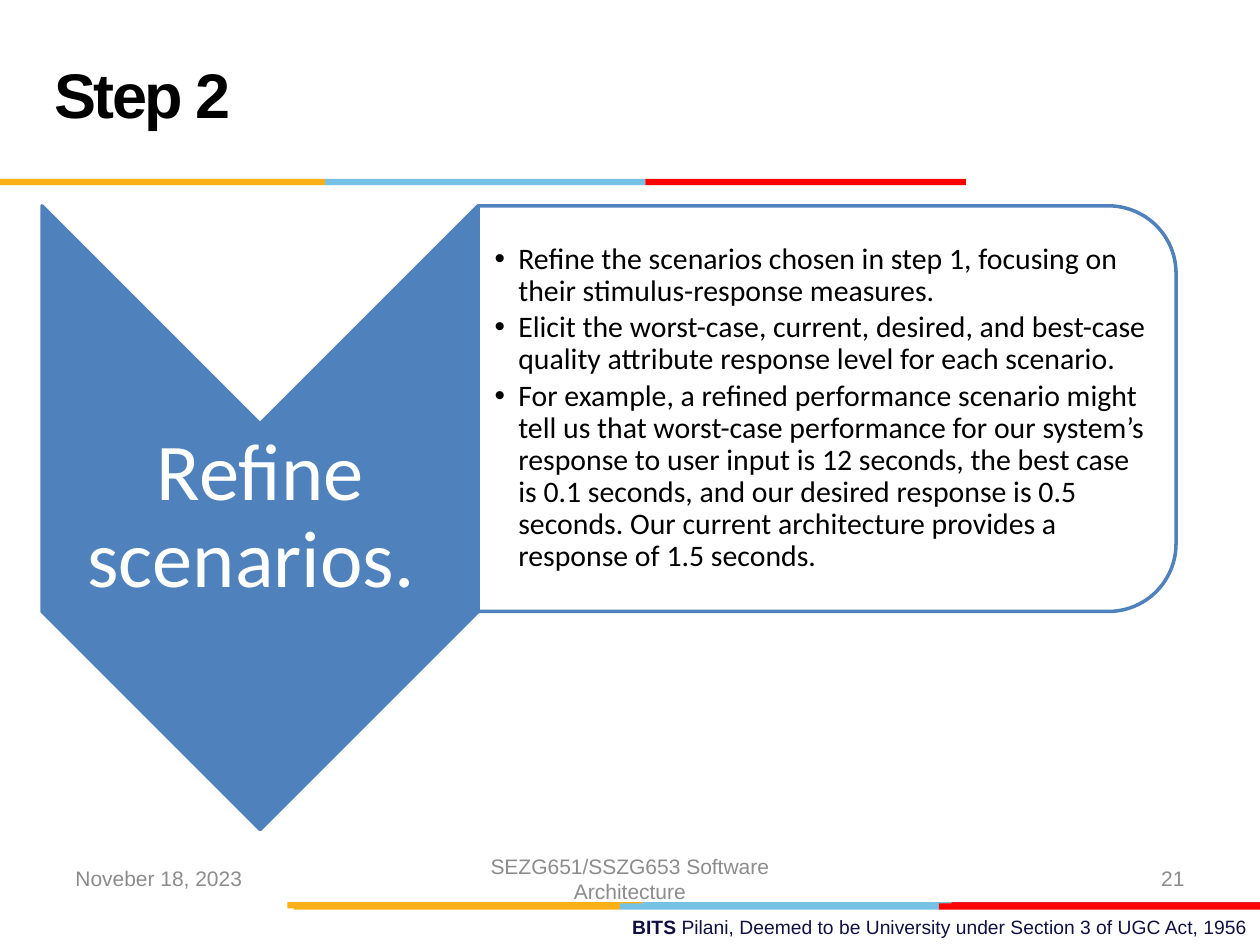
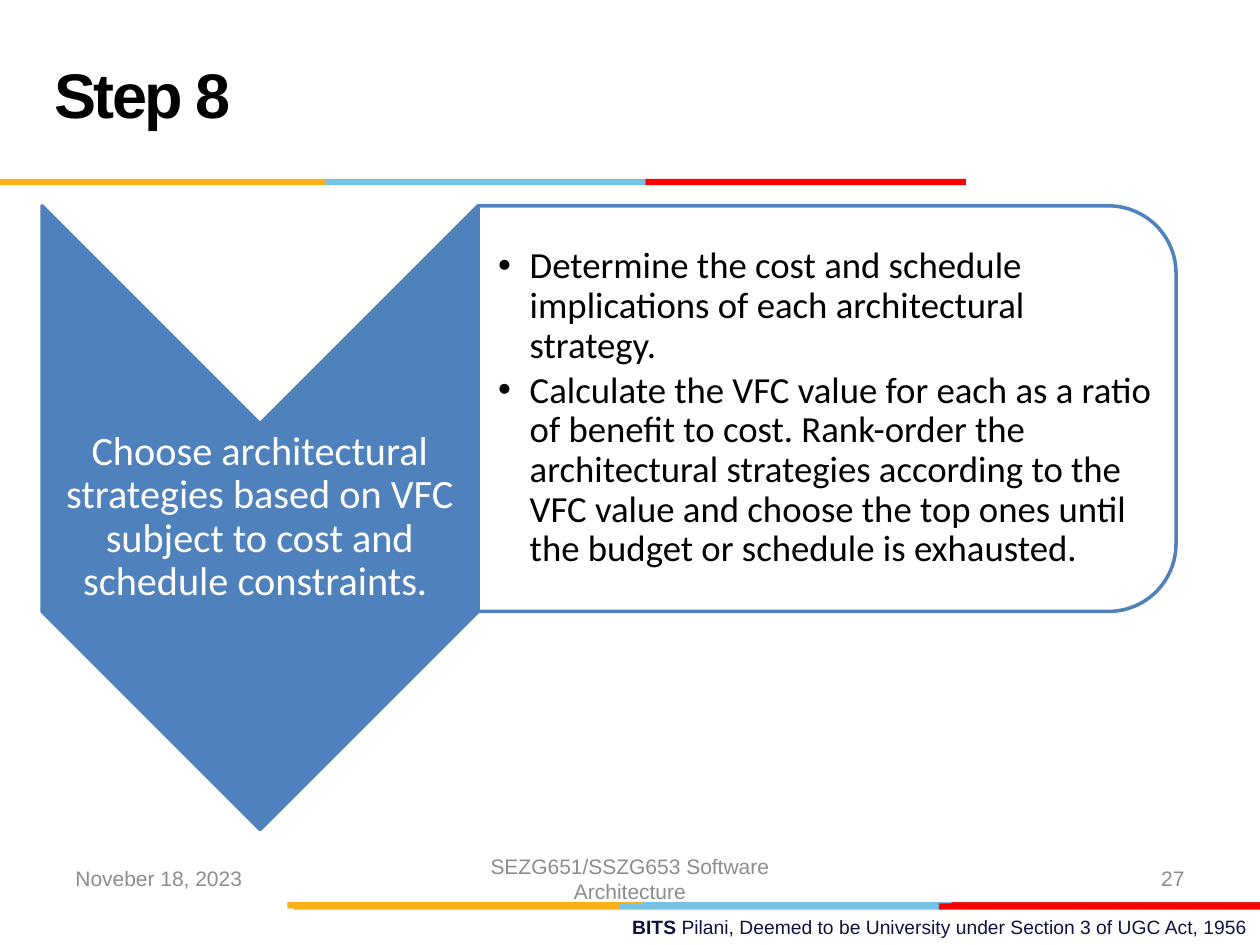
import pptx
import pptx.util
import pptx.dml.color
import pptx.enum.shapes
import pptx.enum.text
import pptx.oxml
import pptx.oxml.ns

Pt = pptx.util.Pt
RGBColor = pptx.dml.color.RGBColor
SHAPE = pptx.enum.shapes.MSO_SHAPE
ALIGN = pptx.enum.text.PP_ALIGN
MIDDLE = pptx.enum.text.MSO_ANCHOR.MIDDLE

STEPS = [
    {"title": "Step 2", "page": "21",
     "label": "Refine scenarios. ", "label_size": 46, "label_pad": 2.2,
     "size": 17, "hang": 13.5, "pad": 9.5,
     "points": [
         "Refine the scenarios chosen in step 1, focusing on their "
         "stimulus-response measures.",
         "Elicit the worst-case, current, desired, and best-case quality "
         "attribute response level for each scenario.",
         "For example, a refined performance scenario might tell us that "
         "worst-case performance for our system’s response to user input is "
         "12 seconds, the best case is 0.1 seconds, and our desired response "
         "is 0.5 seconds. Our current architecture provides a response of "
         "1.5 seconds."]},
    {"title": "Step 8", "page": "27",
     "label": "Choose architectural strategies based on VFC subject to cost "
              "and schedule constraints. ", "label_size": 23, "label_pad": 1.2,
     "size": 21, "hang": 18, "pad": 11.5,
     "points": [
         "Determine the cost and schedule implications of each architectural "
         "strategy.",
         "Calculate the VFC value for each as a ratio of benefit to cost. "
         "Rank-order the architectural strategies according to the VFC value "
         "and choose the top ones until the budget or schedule is "
         "exhausted."]},
]
DATE = "Noveber 18, 2023"
COURSE = "SEZG651/SSZG653 Software Architecture"
SCHOOL = [("BITS ", True),
          ("Pilani, Deemed to be University under Section 3 of UGC Act, 1956",
           False)]

GOLD = RGBColor(0xFC, 0xB0, 0x17)
SKY = RGBColor(0x76, 0xC2, 0xE5)
CRIMSON = RGBColor(0xE3, 0x1C, 0x24)
RED = RGBColor(0xFF, 0, 0)
BLUE = RGBColor(0x4F, 0x81, 0xBD)
NAVY = RGBColor(0x10, 0x11, 0x41)
GRAY = RGBColor(0x8C, 0x8C, 0x8C)
BLACK = RGBColor(0, 0, 0)
WHITE = RGBColor(0xFF, 0xFF, 0xFF)

# Each band: top, the four stops across, the three colours
BANDS = [(515.5, (164.2, 367.2, 543.6, 720), (GOLD, SKY, CRIMSON)),
         (516.2, (167.8, 354.3, 536.5, 720), (GOLD, SKY, RED)),
         (102.2, (0, 185.8, 368.8, 552), (GOLD, SKY, RED))]
BAND_H = 3.6

ARROW = (24, 117.6, 249.2, 356.4)
FRAME = (ARROW[0] + ARROW[2], ARROW[1], 398.8, 231.8)
NOTCH = ARROW[2] / 2
LABEL = (ARROW[0], ARROW[1] + NOTCH, ARROW[2], FRAME[3] - NOTCH)
LIST = (FRAME[0], 128.9, 387.4, 209)
TITLE = (24, 12, 498, 90)
FOOT_Y, FOOT_H = 487.5, 28.75


def style(font, color, **values):
    for name, value in values.items():
        setattr(font, name, value)
    font.color.rgb = color


def place(shape, box):
    for name, value in zip(("left", "top", "width", "height"), box):
        setattr(shape, name, Pt(value))


def set_frame(frame, **values):
    values = {"word_wrap": True, "vertical_anchor": MIDDLE,
              "auto_size": pptx.enum.text.MSO_AUTO_SIZE.NONE, **values}
    for name, value in values.items():
        setattr(frame, name, value)


def margins(left, rest):
    return {"margin_left": Pt(left), "margin_top": Pt(rest),
            "margin_right": Pt(rest), "margin_bottom": Pt(rest)}


def add_text(slide, box, runs, align, color, size, face="Arial", **frame):
    """Add a one-paragraph text box from (text, bold) pairs."""
    shape = slide.shapes.add_textbox(*map(Pt, box))
    set_frame(shape.text_frame, **frame)
    para = shape.text_frame.paragraphs[0]
    para.alignment = align
    for text, bold in runs:
        run = para.add_run()
        run.text = text
        style(run.font, color, name=face, size=Pt(size), bold=bold)
    return para


def add_part(slide, kind, box, fill):
    part = slide.shapes.add_shape(kind, *map(Pt, box))
    part.shadow.inherit = False
    part.fill.solid()
    part.fill.fore_color.rgb = fill
    part.line.fill.background()
    return part


def add_turned(slide, kind, box, fill):
    """Add an outlined shape turned by 90 degrees that shows in box."""
    left, top, wide, high = box
    shift = (wide - high) / 2
    part = add_part(slide, kind, (left + shift, top - shift, high, wide), fill)
    part.rotation = 90
    part.line.color.rgb = BLUE
    part.line.width = Pt(2)
    return part


def add_bands(slide):
    for top, stops, colors in BANDS:
        for left, right, color in zip(stops, stops[1:], colors):
            add_part(slide, SHAPE.RECTANGLE,
                     (left, top, right - left, BAND_H), color)


def add_footers(slide, page):
    add_text(slide, (258, 519, 462, 21), SCHOOL, ALIGN.RIGHT, NAVY, 11)
    for left, wide, text, align in ((36, 168, DATE, ALIGN.LEFT),
                                    (246, 228, COURSE, ALIGN.CENTER),
                                    (516, 168, page, ALIGN.RIGHT)):
        add_text(slide, (left, FOOT_Y, wide, FOOT_H), [(text, False)],
                 align, GRAY, 12)


def set_title(slide, text):
    title = slide.shapes.title
    place(title, TITLE)
    set_frame(title.text_frame)
    para = title.text_frame.paragraphs[0]
    para.alignment = ALIGN.LEFT
    para.line_spacing = Pt(36)
    run = para.add_run()
    run.text = text
    style(run.font, BLACK, name="Arial", size=Pt(36), bold=True)
    run._r.get_or_add_rPr().set("spc", "-150")


def fill_list(body, step):
    place(body, LIST)
    frame = body.text_frame
    set_frame(frame, **margins(step["pad"], 0.8))
    for i, text in enumerate(step["points"]):
        para = frame.add_paragraph() if i else frame.paragraphs[0]
        para.text = text
        props = para._p.get_or_add_pPr()
        props.set("marL", str(Pt(step["hang"])))
        props.set("indent", str(-Pt(step["hang"])))
        mark = pptx.oxml.parse_xml(
            "<a:buChar %s char='•'/>" % pptx.oxml.ns.nsdecls("a"))
        props.append(mark)
        para.line_spacing = 0.9
        para.space_before = Pt(0)
        para.space_after = Pt(round(step["size"] * 0.14, 1))
        style(para.runs[0].font, BLACK, name="Calibri", size=Pt(step["size"]))


def add_step(deck, step):
    slide = deck.slides.add_slide(deck.slide_layouts[1])
    set_title(slide, step["title"])
    add_bands(slide)
    add_turned(slide, SHAPE.CHEVRON, ARROW, BLUE)
    label = add_text(slide, LABEL, [(step["label"], False)], ALIGN.CENTER,
                     WHITE, step["label_size"], "Calibri",
                     **margins(step["label_pad"], step["label_pad"]))
    label.line_spacing = 0.9
    panel = add_turned(slide, SHAPE.ROUND_2_SAME_RECTANGLE, FRAME, WHITE)
    body = slide.placeholders[1]
    fill_list(body, step)
    panel.element.addnext(body.element)  # text lies above its panel
    add_footers(slide, step["page"])


def main():
    deck = pptx.Presentation()
    deck.slide_width, deck.slide_height = Pt(720), Pt(540)
    for step in STEPS:
        add_step(deck, step)
    deck.save("out.pptx")


if __name__ == "__main__":
    main()
